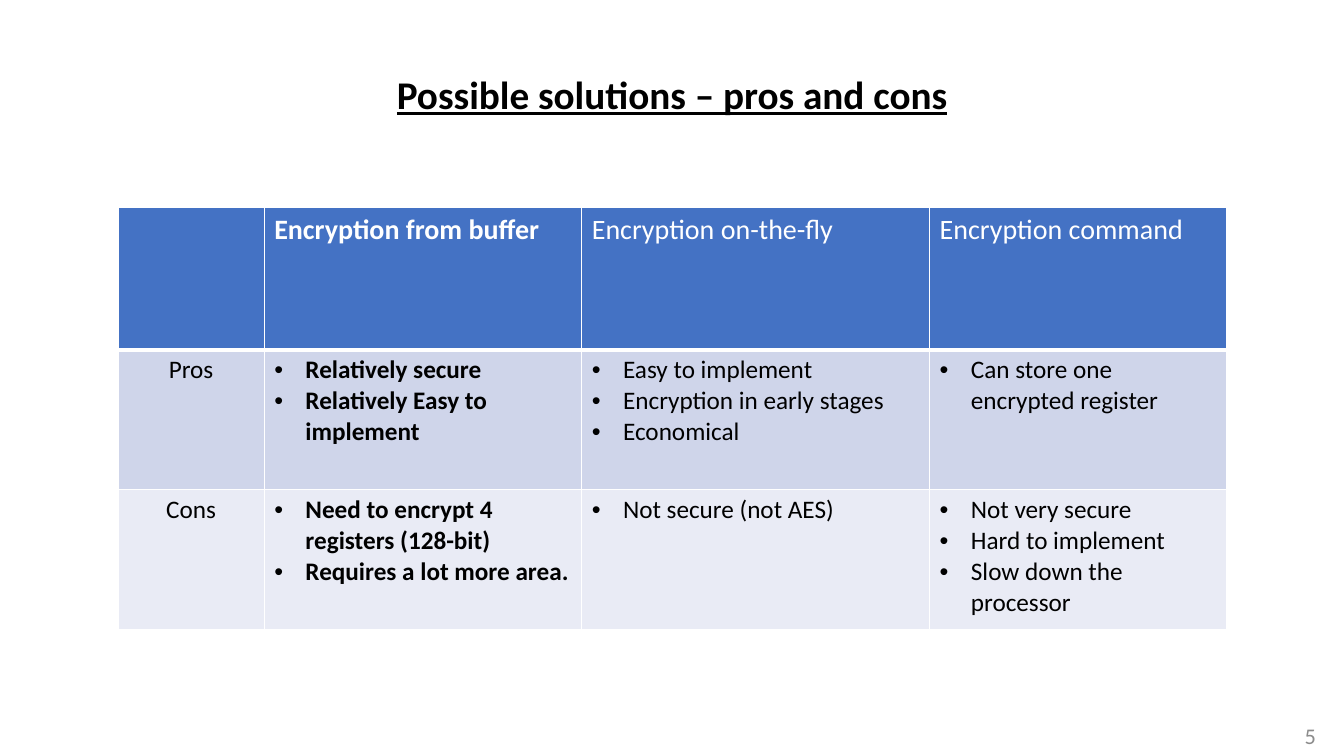
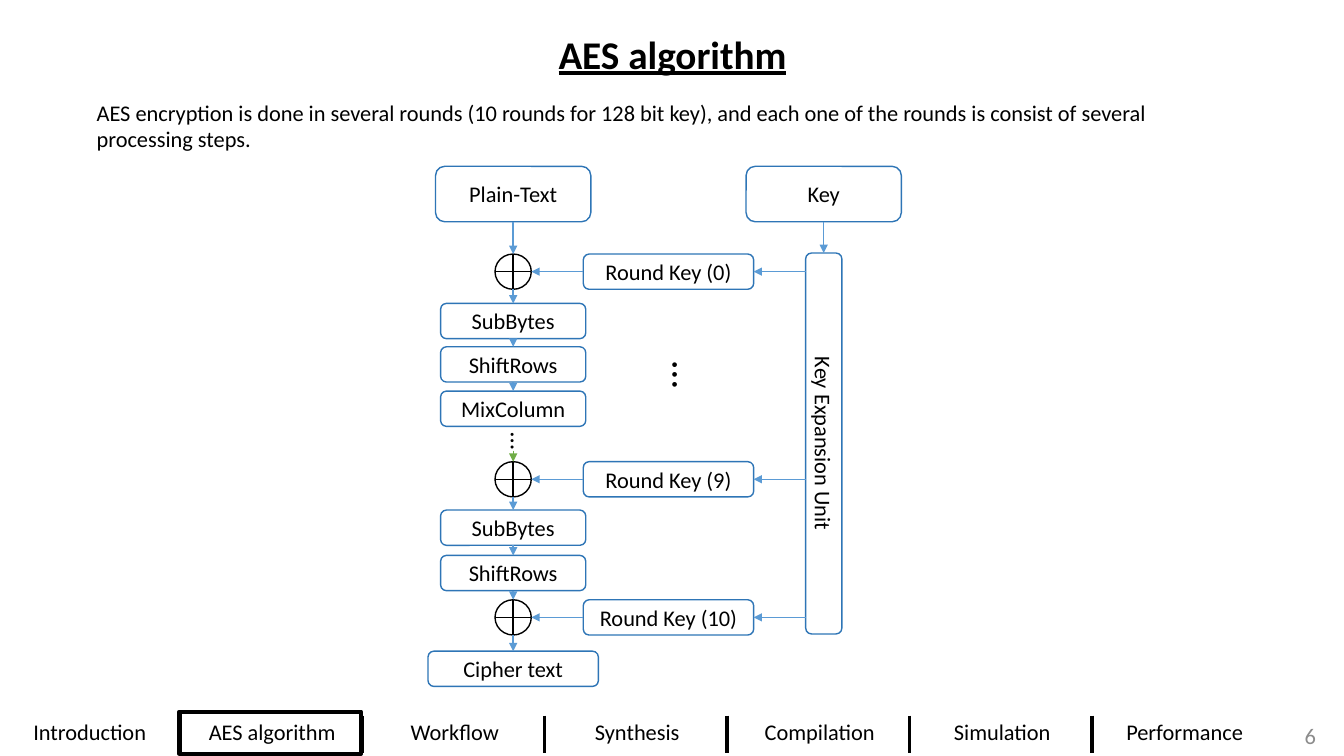
"""Build two slides on AES encryption: a pros and cons table and a flow diagram."""
import pptx
import pptx.dml.color
import pptx.enum.shapes
import pptx.enum.text
import pptx.oxml
import pptx.oxml.ns
import pptx.util

Inches = pptx.util.Inches
Pt = pptx.util.Pt
rgb = pptx.dml.color.RGBColor.from_string
SHAPES = pptx.enum.shapes.MSO_SHAPE
ALIGN = pptx.enum.text.PP_ALIGN
ANCHOR = pptx.enum.text.MSO_ANCHOR
NAMESPACE = pptx.oxml.ns.nsdecls("a")

FONT = "Calibri"
BLACK = "000000"
WHITE = "FFFFFF"
GREY = "8C8C8C"
HEADER_BLUE = "4472C4"
ROW_FILLS = [HEADER_BLUE, "CFD5EA", "E9EBF5"]
OUTLINE_BLUE = "2E75B6"
ARROW_BLUE = "5B9BD5"
ARROW_GREEN = "70AD47"


def write(frame, texts, size=16, colour=BLACK, bold=False, underline=False,
          align=ALIGN.CENTER, bullets=False):
    """Fill a text frame with one paragraph per text."""
    frame.word_wrap = True
    for index, text in enumerate(texts):
        para = frame.add_paragraph() if index else frame.paragraphs[0]
        para.alignment = align
        if bullets:
            properties = para._p.get_or_add_pPr()
            properties.set("marL", str(Inches(0.31)))
            properties.set("indent", str(Inches(-0.31)))
            properties.append(pptx.oxml.parse_xml(f'<a:buFont {NAMESPACE} typeface="Arial"/>'))
            properties.append(pptx.oxml.parse_xml(f'<a:buChar {NAMESPACE} char="•"/>'))
        span = para.add_run()
        span.text = text
        span.font.name = FONT
        span.font.size = Pt(size)
        span.font.bold = bold
        span.font.underline = underline
        span.font.color.rgb = rgb(colour)


def connect(page, start, end, colour=ARROW_BLUE, width=1, arrow=True, begin=None, finish=None):
    """Draw a straight connector, joined to (shape, site) pairs where given."""
    line = page.shapes.add_connector(
        pptx.enum.shapes.MSO_CONNECTOR.STRAIGHT, *[Inches(value) for value in (*start, *end)])
    if begin:
        line.begin_connect(*begin)
    if finish:
        line.end_connect(*finish)
    line.line.color.rgb = rgb(colour)
    line.line.width = Pt(width)
    if arrow:
        line.line._get_or_add_ln().append(
            pptx.oxml.parse_xml(f'<a:tailEnd {NAMESPACE} type="triangle"/>'))
    line._element.spPr.append(pptx.oxml.parse_xml(f"<a:effectLst {NAMESPACE}/>"))
    return line


deck = pptx.Presentation()
deck.slide_width = Inches(13.33)
deck.slide_height = Inches(7.5)

pages = []
for title, left, top, width, number in [
    ("Possible solutions – pros and cons", 3.17, 0.65, 6.99, "5"),
    ("AES algorithm", 4.1, 0.25, 5.14, "6"),
]:
    page = deck.slides.add_slide(deck.slide_layouts[6])
    box = page.shapes.add_textbox(Inches(left), Inches(top), Inches(width), Inches(0.57))
    write(box.text_frame, [title], size=28, bold=True, underline=True)
    box = page.shapes.add_textbox(Inches(12.84), Inches(7.1), Inches(0.31), Inches(0.4))
    box.text_frame.vertical_anchor = ANCHOR.MIDDLE
    write(box.text_frame, [number], colour=GREY, align=ALIGN.RIGHT)
    pages.append(page)
table_page, flow_page = pages

rows = [
    [[], ["Encryption from buffer"], ["Encryption on-the-fly"], ["Encryption command"]],
    [["Pros"],
     ["Relatively secure", "Relatively Easy to implement"],
     ["Easy to implement", "Encryption in early stages", "Economical"],
     ["Can store one encrypted register"]],
    [["Cons"],
     ["Need to encrypt 4 registers (128-bit)", "Requires a lot more area."],
     ["Not secure (not AES)"],
     ["Not very secure", "Hard to implement", "Slow down the processor"]],
]
table = table_page.shapes.add_table(
    3, 4, Inches(1.17), Inches(2.06), Inches(11), Inches(4.19)).table
for column, width in zip(table.columns, [1.45, 3.15, 3.45, 2.95]):
    column.width = Inches(width)
for row, height in zip(table.rows, [1.41, 1.39, 1.39]):
    row.height = Inches(height)
for row_index, row in enumerate(rows):
    header = row_index == 0
    edges = {"L": 1, "R": 1, "T": 3 if row_index == 1 else 1, "B": 3 if header else 1}
    for column_index, texts in enumerate(row):
        cell = table.cell(row_index, column_index)
        label = column_index == 0
        write(cell.text_frame, texts, size=20 if header else 18,
              colour=WHITE if header else BLACK, bold=column_index == 1,
              align=ALIGN.CENTER if label else ALIGN.LEFT, bullets=not (header or label))
        for side, weight in edges.items():
            cell._tc.get_or_add_tcPr().append(pptx.oxml.parse_xml(
                f'<a:ln{side} {NAMESPACE} w="{Pt(weight)}"><a:solidFill>'
                f'<a:srgbClr val="{WHITE}"/></a:solidFill></a:ln{side}>'))
        cell.fill.solid()
        cell.fill.fore_color.rgb = rgb(ROW_FILLS[row_index])

CHAIN_X = 5.09
ROUND_KEY_X = 6.63
KEY_X = 8.17
STEP_HEIGHT = 0.35
XOR_WIDTH = 0.36
UNIT_LEFT = 7.99
round_keys = {"Round Key (0)": 2.52, "Round Key (9)": 4.58, "Round Key (10)": 5.95}
nodes = [
    ("Plain-Text", CHAIN_X, 1.65, 1.54, 0.55, 0),
    ("", CHAIN_X, 2.52, XOR_WIDTH, STEP_HEIGHT, 0),
    ("SubBytes", CHAIN_X, 3.01, 1.44, STEP_HEIGHT, 0),
    ("ShiftRows", CHAIN_X, 3.44, 1.44, STEP_HEIGHT, 0),
    ("MixColumn", CHAIN_X, 3.88, 1.44, STEP_HEIGHT, 0),
    ("", CHAIN_X, 4.58, XOR_WIDTH, STEP_HEIGHT, 0),
    ("SubBytes", CHAIN_X, 5.06, 1.44, STEP_HEIGHT, 0),
    ("ShiftRows", CHAIN_X, 5.51, 1.44, STEP_HEIGHT, 0),
    ("", CHAIN_X, 5.95, XOR_WIDTH, STEP_HEIGHT, 0),
    ("Cipher text", CHAIN_X, 6.46, 1.69, STEP_HEIGHT, 0),
    ("Key", KEY_X, 1.65, 1.54, 0.55, 0),
    ("Key Expansion Unit", KEY_X, 4.22, 3.78, 0.36, 90),
]
nodes += [(text, ROUND_KEY_X, top, 1.69, STEP_HEIGHT, 0) for text, top in round_keys.items()]

drawn = []
for text, centre, top, width, height, angle in nodes:
    preset = SHAPES.ROUNDED_RECTANGLE if text else SHAPES.FLOWCHART_OR
    box = flow_page.shapes.add_shape(
        preset, Inches(centre - width / 2), Inches(top), Inches(width), Inches(height))
    box.rotation = angle
    box.shadow.inherit = False
    box.fill.solid()
    box.fill.fore_color.rgb = rgb(WHITE)
    box.line.color.rgb = rgb(OUTLINE_BLUE if text else BLACK)
    box.line.width = Pt(1)
    if text:
        box.text_frame.vertical_anchor = ANCHOR.MIDDLE
        write(box.text_frame, [text])
    drawn.append(box)
chain = list(zip(nodes, drawn))[:10]
key_box, unit_box = drawn[10:12]

for (upper, upper_box), (lower, lower_box) in zip(chain, chain[1:]):
    start = (CHAIN_X, upper[2] + upper[4])
    end = (CHAIN_X, lower[2])
    if upper[0] == "MixColumn":
        connect(flow_page, (CHAIN_X, 4.47), end, ARROW_GREEN, 0.5)
    else:
        connect(flow_page, start, end, begin=(upper_box, 2) if upper[0] else None,
                finish=(lower_box, 0) if lower[0] else None)

key_arrow = connect(flow_page, (KEY_X, 2.2), (KEY_X, 2.51),
                    begin=(key_box, 2), finish=(unit_box, 1))
key_arrow.end_x = Inches(KEY_X)
key_arrow.end_y = Inches(2.51)

for top, box in zip(round_keys.values(), drawn[12:]):
    middle = top + STEP_HEIGHT / 2
    connect(flow_page, (UNIT_LEFT, middle), (7.47, middle), finish=(box, 3))
    connect(flow_page, (5.78, middle), (CHAIN_X + XOR_WIDTH / 2, middle), begin=(box, 1))

box = flow_page.shapes.add_textbox(Inches(0.86), Inches(0.93), Inches(11.61), Inches(0.64))
write(box.text_frame, [
    "AES encryption is done in several rounds (10 rounds for 128 bit key), "
    "and each one of the rounds is consist of several processing steps."], align=ALIGN.LEFT)

for left, top, height, size in [(6.58, 3.45, 0.57, 28), (4.92, 4.24, 0.4, 18)]:
    box = flow_page.shapes.add_textbox(Inches(left), Inches(top), Inches(0.49), Inches(height))
    box.rotation = 90
    write(box.text_frame, ["…"], size=size, align=ALIGN.LEFT)

TAB_PITCH = 1.81
sections = ["Introduction", "AES algorithm", "Workflow", "Synthesis",
            "Compilation", "Simulation", "Performance"]
for index, section in enumerate(sections):
    left = index * TAB_PITCH
    box = flow_page.shapes.add_textbox(Inches(left), Inches(7.08), Inches(1.78), Inches(0.37))
    write(box.text_frame, [section])
    if index:
        divider = left - 0.03
        connect(flow_page, (divider, 7.1), (divider, 7.47), BLACK, 2.25, arrow=False)

current_tab = flow_page.shapes.add_shape(
    SHAPES.RECTANGLE, Inches(1.78), Inches(7.06), Inches(1.8), Inches(0.42))
current_tab.shadow.inherit = False
current_tab.fill.background()
current_tab.line.color.rgb = rgb(BLACK)
current_tab.line.width = Pt(3)

deck.save("out.pptx")
